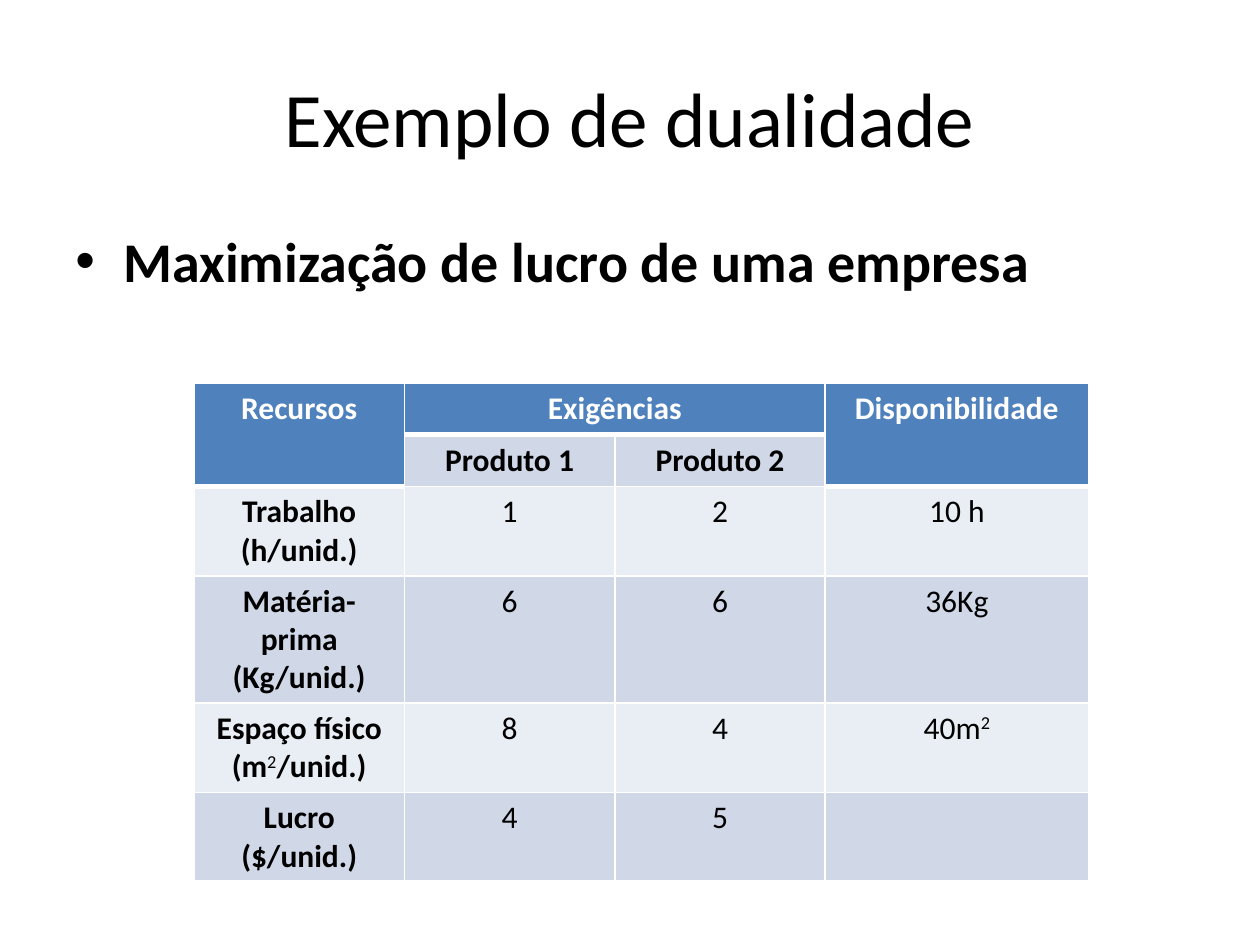
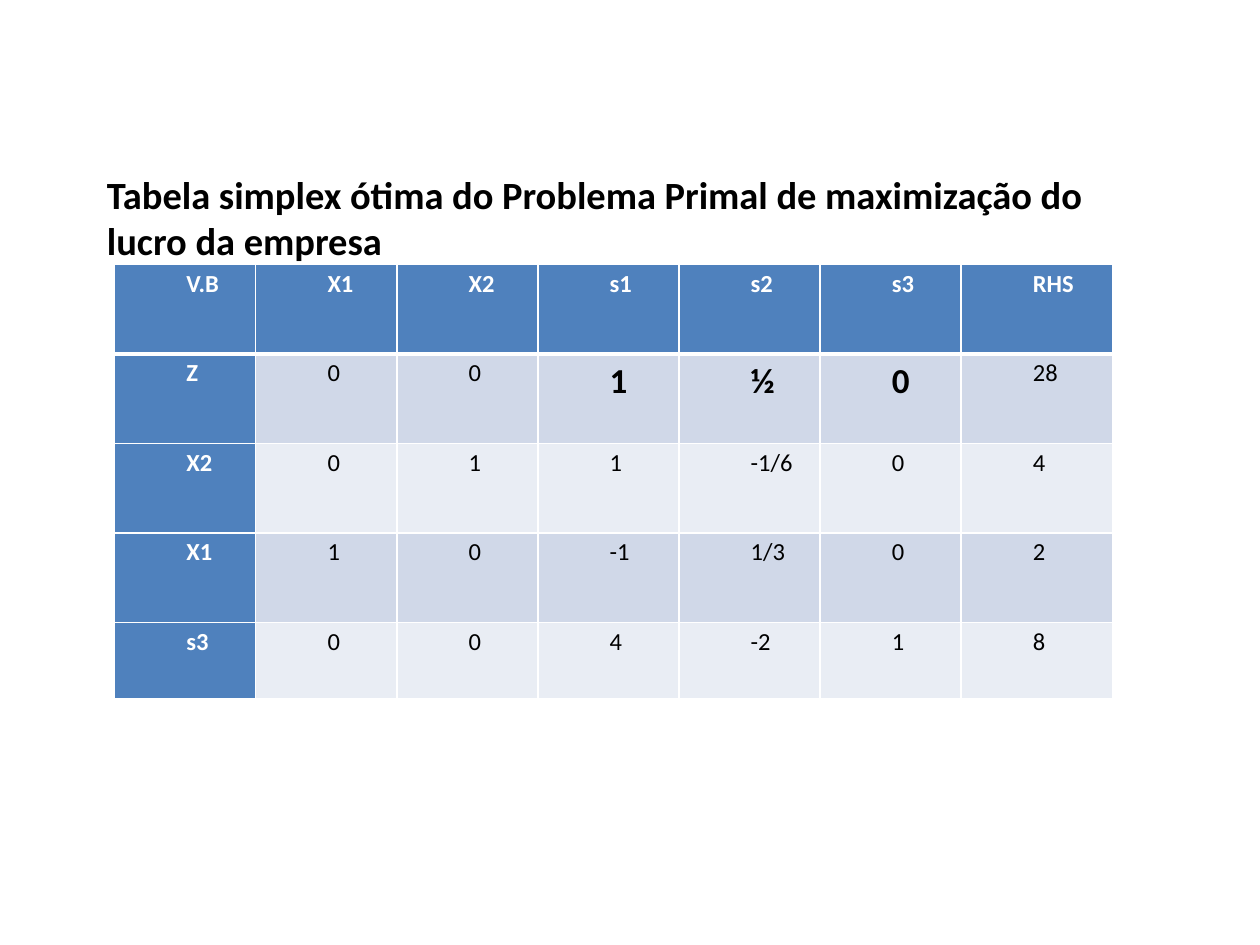
from lxml.etree import SubElement
from pptx import Presentation
from pptx.dml.color import RGBColor
from pptx.enum.text import MSO_ANCHOR as Anchor, PP_ALIGN as Align
from pptx.oxml.ns import qn
from pptx.util import Inches, Pt

HEADER, BAND_DARK, BAND_LIGHT = "4F81BD", "D0D8E8", "E9EDF4"
WHITE, BLACK = "FFFFFF", "000000"


def write(paragraph, text, size, color=BLACK, bold=False):
    for i, part in enumerate(text.split("^")):
        run = paragraph.add_run()
        run.text = part
        raised = i % 2 == 1
        look = {"name": "Calibri", "size": Pt(size), "bold": bold and not raised}
        for key, value in look.items():
            setattr(run.font, key, value)
        run.font.color.rgb = RGBColor.from_string(color)
        if raised:
            run.font._element.set("baseline", "30000")


def paint(cell, fill, bottom=1):
    properties = cell._tc.get_or_add_tcPr()
    for side, width in {"L": 1, "R": 1, "T": 1, "B": bottom}.items():
        line = SubElement(properties, qn(f"a:ln{side}"), w=str(Pt(width)))
        solid = SubElement(line, qn("a:solidFill"))
        SubElement(solid, qn("a:srgbClr"), val=WHITE)
    cell.fill.solid()
    cell.fill.fore_color.rgb = RGBColor.from_string(fill)


prs = Presentation()
prs.slide_width, prs.slide_height = Inches(10), Inches(7.5)

example = prs.slides.add_slide(prs.slide_layouts[5])
title = example.shapes.title
title.left, title.top, title.width, title.height = map(Inches, (0.5, 0.3, 9, 1.25))
title.text_frame.vertical_anchor = Anchor.MIDDLE
heading = title.text_frame.paragraphs[0]
heading.alignment = Align.CENTER
write(heading, "Exemplo de dualidade", 44)

body = example.shapes.add_textbox(Inches(0.5), Inches(1.75), Inches(9), Inches(0.7))
body.text_frame.word_wrap = True
topic = body.text_frame.paragraphs[0]
bullet = topic._p.get_or_add_pPr()
bullet.set("marL", str(Inches(0.38)))
bullet.set("indent", str(Inches(-0.38)))
SubElement(bullet, qn("a:buFont"), typeface="Arial")
SubElement(bullet, qn("a:buChar"), char="•")
write(topic, "Maximização de lucro de uma empresa", 32, bold=True)

resources = [
    ["Recursos", "Exigências", "", "Disponibilidade"],
    ["", "Produto 1", "Produto 2", ""],
    ["Trabalho (h/unid.)", "1", "2", "10 h"],
    ["Matéria-prima (Kg/unid.)", "6", "6", "36Kg"],
    ["Espaço físico (m^2^/unid.)", "8", "4", "40m^2^"],
    ["Lucro ($/unid.)", "4", "5", ""],
]
resource_table = example.shapes.add_table(
    6, 4, Inches(1.54), Inches(3.04), Inches(7.1), Inches(3.95)).table
for column, width in zip(resource_table.columns, (1.67, 1.67, 1.67, 2.09)):
    column.width = Inches(width)
for row, height in zip(resource_table.rows, (0.41, 0.41, 0.71, 1.01, 0.71, 0.7)):
    row.height = Inches(height)
for start, end in (((0, 0), (1, 0)), ((0, 1), (0, 2)), ((0, 3), (1, 3))):
    resource_table.cell(*start).merge(resource_table.cell(*end))
for r, values in enumerate(resources):
    for c, text in enumerate(values):
        cell = resource_table.cell(r, c)
        is_header = r == 0 or (r == 1 and c in (0, 3))
        band = BAND_DARK if r % 2 else BAND_LIGHT
        paint(cell, HEADER if is_header else band, 3 if is_header else 1)
        if text:
            paragraph = cell.text_frame.paragraphs[0]
            paragraph.alignment = Align.CENTER
            write(paragraph, text, 18, WHITE if is_header else BLACK, r < 2 or c == 0)

optimum = prs.slides.add_slide(prs.slide_layouts[6])
simplex = [
    ["V.B", "X1", "X2", "s1", "s2", "s3", "RHS"],
    ["Z", "0", "0", "1", "½", "0", "28"],
    ["X2", "0", "1", "1", "-1/6", "0", "4"],
    ["X1", "1", "0", "-1", "1/3", "0", "2"],
    ["s3", "0", "0", "4", "-2", "1", "8"],
]
simplex_table = optimum.shapes.add_table(
    5, 7, Inches(0.91), Inches(2.1), Inches(7.92), Inches(3.45)).table
simplex_table.first_col = True
for column, width in zip(simplex_table.columns, [1.12] * 6 + [1.2]):
    column.width = Inches(width)
for row, height in zip(simplex_table.rows, [0.71] * 4 + [0.61]):
    row.height = Inches(height)
margins = {"margin_left": 0.07, "margin_right": 0.07, "margin_top": 0, "margin_bottom": 0}
for r, values in enumerate(simplex):
    for c, text in enumerate(values):
        cell = simplex_table.cell(r, c)
        is_header = r == 0 or c == 0
        is_dual_value = r == 1 and c in (3, 4, 5)
        band = BAND_DARK if r % 2 else BAND_LIGHT
        for key, value in margins.items():
            setattr(cell, key, Inches(value))
        paint(cell, HEADER if is_header else band, 3 if r == 0 else 1)
        paragraph = cell.text_frame.paragraphs[0]
        paragraph.alignment = Align.JUSTIFY
        paragraph.line_spacing = 1.15
        paragraph._p.get_or_add_pPr().set("marL", str(Inches(0.5)))
        write(paragraph, text, 20 if is_dual_value else 14,
              WHITE if is_header else BLACK, is_header or is_dual_value)

caption = optimum.shapes.add_textbox(Inches(0.75), Inches(1.31), Inches(8.11), Inches(0.84))
caption.text_frame.word_wrap = True
write(caption.text_frame.paragraphs[0],
      "Tabela simplex ótima do Problema Primal de maximização do lucro da empresa",
      22, bold=True)

prs.save("out.pptx")
